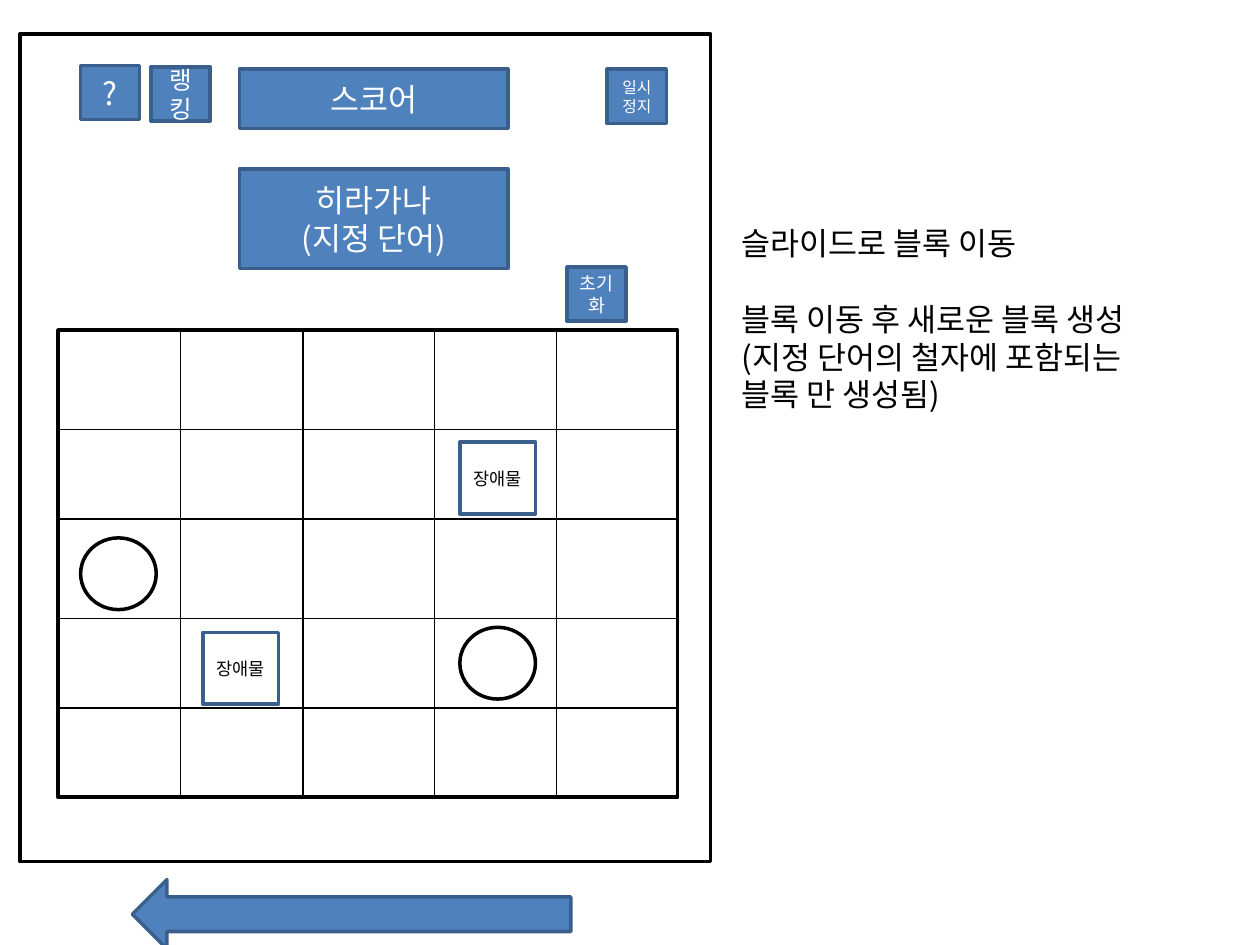
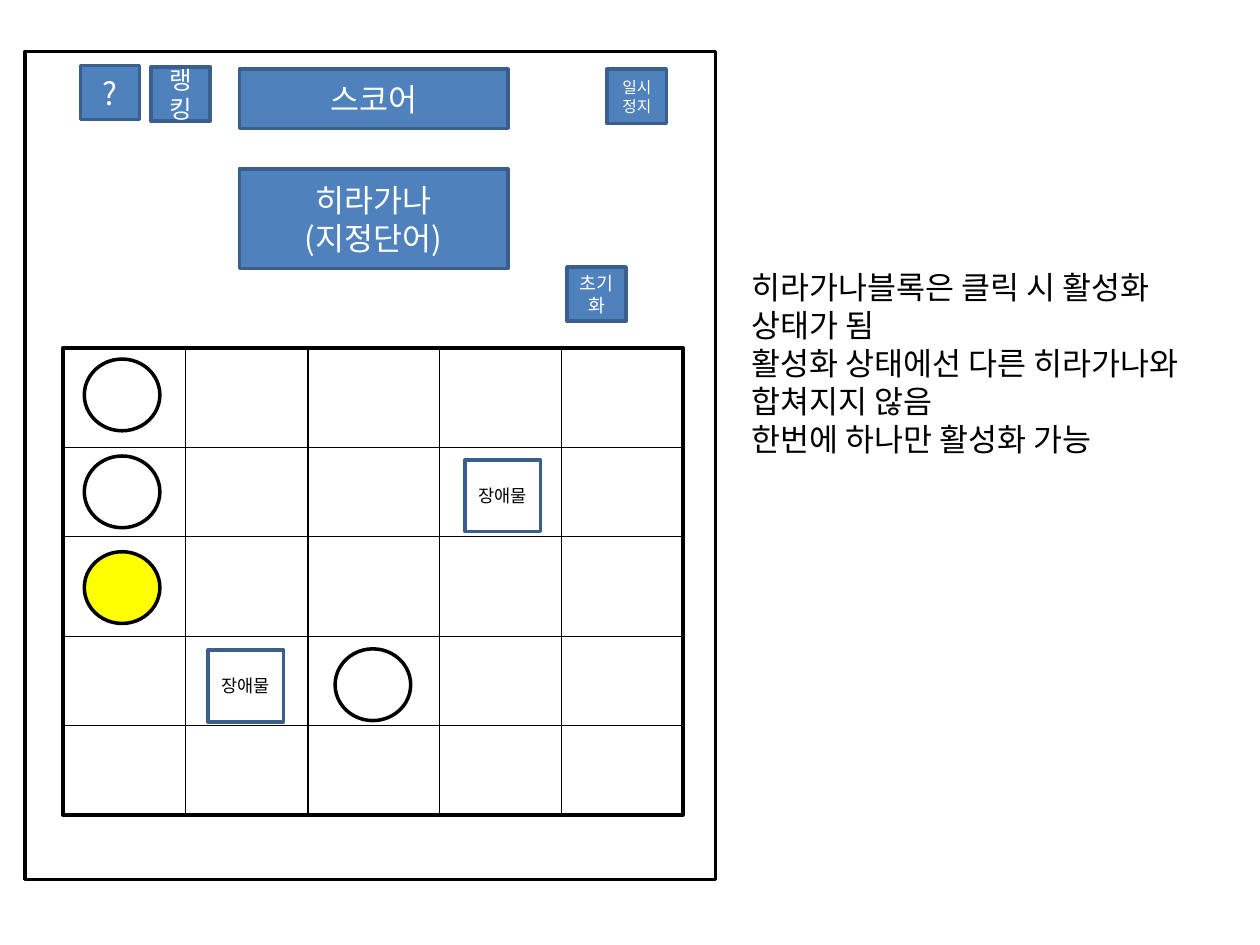
"""Build two wireframe slides of a hiragana block game."""
from itertools import accumulate
from lxml import etree
from pptx import Presentation
from pptx.dml.color import RGBColor
from pptx.enum.shapes import MSO_CONNECTOR, MSO_SHAPE
from pptx.enum.text import MSO_ANCHOR, PP_ALIGN
from pptx.oxml.ns import qn
from pptx.util import Pt

RECT, OVAL, ARROW = MSO_SHAPE.RECTANGLE, MSO_SHAPE.OVAL, MSO_SHAPE.LEFT_ARROW
LINE = MSO_CONNECTOR.STRAIGHT
LEFT, CENTER = PP_ALIGN.LEFT, PP_ALIGN.CENTER
TOP, MIDDLE = MSO_ANCHOR.TOP, MSO_ANCHOR.MIDDLE

FONT = "Noto Sans CJK KR"
BLACK, WHITE, BLUE, NAVY, YELLOW = "000000", "FFFFFF", "4F81BD", "3A5F8C", "FFFF00"
LEADING = 1.2

FRAME = (394.6, 473)
INSET = (21.6, 169.2)
COLS = (70, 70, 75, 70, 69.2)
ROWS = (57, 51, 57, 51, 51)
PIECE = (43.2, 41)
BLOCKS = [(229.7, 64.1), (82.8, 172.8)]
KEY = (33.8, 31)

BUTTONS = [
    ((136.8, 39.6, 153.4, 33.8), ["스코어"], 18),
    ((136.8, 96.5, 153.4, 56.9), ["히라가나", "{word}"], 18),
    ((46.1, 37.4, *KEY), ["?"], 18),
    ((86.4, 38.2, *KEY), ["랭킹"], 14),
    ((347, 39.6, *KEY), ["일시정지"], 9),
    ((324, 152.6, *KEY), ["초기화"], 10.5),
]

SLIDES = [
    {
        "frame": (11.5, 19.4),
        "group": True,
        "word": "(지정 단어)",
        "balls": [((13, 118.8), None), ((229.7, 169.9), None)],
        "arrow": (75.6, 502.6, 250.6, 39.6),
        "note": (416.9, 124.6, 266.4, 116.6),
        "gap": 21.6,
        "lines": [
            "슬라이드로 블록 이동",
            "블록 이동 후 새로운 블록 생성(지정 단어의 철자에 포함되는 블록 만 생성됨)",
        ],
    },
    {
        "frame": (14.4, 29.5),
        "group": False,
        "word": "(지정단어)",
        "balls": [((12.2, 6.5), None), ((12.2, 116.6), YELLOW),
                  ((155.5, 172.1), None), ((12.2, 61.9), None)],
        "arrow": None,
        "note": (422.6, 149.8, 297.4, 116.6),
        "gap": 0,
        "lines": [
            "히라가나블록은 클릭 시 활성화",
            "상태가 됨",
            "활성화 상태에선 다른 히라가나와 합쳐지지 않음",
            "한번에 하나만 활성화 가능",
        ],
    },
]


def rgb(code):
    """Turn a hex string into a colour."""
    return RGBColor.from_string(code)


def apply(obj, **vals):
    """Set each named value on an object."""
    for name, val in vals.items():
        setattr(obj, name, val)


def write(shape, lines, size, color, align=CENTER, anchor=MIDDLE, gap=0):
    """Fill a shape with one paragraph per line."""
    frame = shape.text_frame
    apply(frame, word_wrap=True, vertical_anchor=anchor)
    for i, line in enumerate(lines):
        para = frame.paragraphs[0] if i == 0 else frame.add_paragraph()
        apply(para, alignment=align, line_spacing=Pt(size * LEADING),
              space_before=Pt(gap if i else 0))
        run = para.add_run()
        run.text = line
        apply(run.font, name=FONT, size=Pt(size))
        run.font.color.rgb = rgb(color)
        east = etree.SubElement(run.font._element, qn("a:ea"))
        east.set("typeface", FONT)


def draw(shapes, kind, box, fill=None, edge=BLACK):
    """Add an outlined shape, filled or clear."""
    shape = shapes.add_shape(kind, *map(Pt, box))
    shape.shadow.inherit = False
    if fill:
        shape.fill.solid()
        shape.fill.fore_color.rgb = rgb(fill)
    else:
        shape.fill.background()
    shape.line.color.rgb = rgb(edge)
    shape.line.width = Pt(2)
    return shape


def rule(shapes, *ends):
    """Add a thin black grid line."""
    line = shapes.add_connector(LINE, *map(Pt, ends))
    line.line.color.rgb = rgb(BLACK)
    line.line.width = Pt(0.75)
    etree.SubElement(line._element.spPr, qn("a:effectLst"))


def board(shapes, page):
    """Draw the screen frame, the grid and its pieces."""
    left, top = (a + b for a, b in zip(page["frame"], INSET))
    wide, high = sum(COLS), sum(ROWS)
    draw(shapes, RECT, (*page["frame"], *FRAME))
    draw(shapes, RECT, (left, top, wide, high))
    for y in accumulate(ROWS[:-1]):
        rule(shapes, left, top + y, left + wide, top + y)
    for x in accumulate(COLS[:-1]):
        rule(shapes, left + x, top, left + x, top + high)
    for (x, y), fill in page["balls"]:
        draw(shapes, OVAL, (left + x, top + y, *PIECE), fill)
    for x, y in BLOCKS:
        block = draw(shapes, RECT, (left + x, top + y, *PIECE), edge=NAVY)
        write(block, ["장애물"], 10, BLACK)


def build(deck, page):
    """Add one slide."""
    shapes = deck.slides.add_slide(deck.slide_layouts[6]).shapes
    note = shapes.add_textbox(*map(Pt, page["note"]))
    write(note, page["lines"], 18, BLACK, LEFT, TOP, page["gap"])
    if page["arrow"]:
        draw(shapes, ARROW, page["arrow"], BLUE, NAVY)
    board(shapes.add_group_shape().shapes if page["group"] else shapes, page)
    for box, lines, size in BUTTONS:
        text = [line.format(word=page["word"]) for line in lines]
        write(draw(shapes, RECT, box, BLUE, NAVY), text, size, WHITE)


deck = Presentation()
apply(deck, slide_width=Pt(720), slide_height=Pt(540))
for page in SLIDES:
    build(deck, page)
deck.save("out.pptx")
